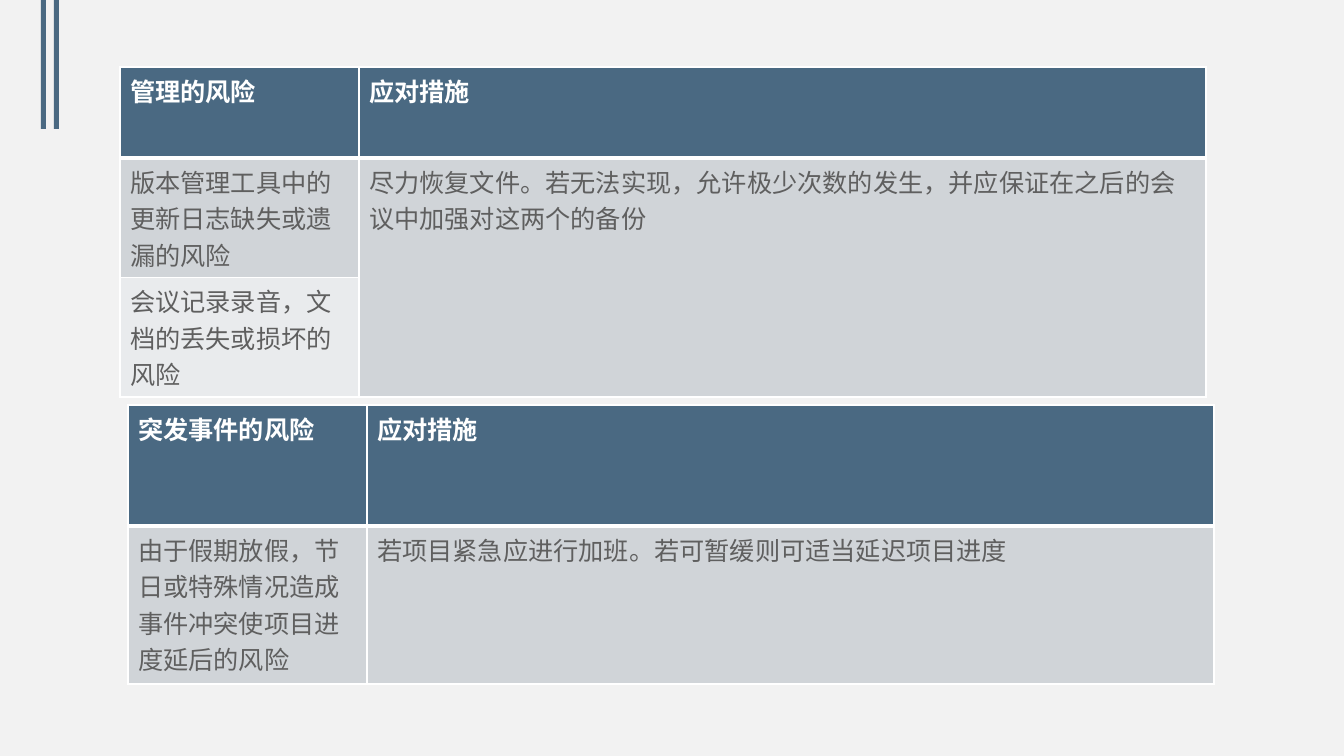
"""Build a slide with two tables of project risks and responses."""
from lxml import etree
from pptx import Presentation
from pptx import util as u
from pptx.dml.color import RGBColor
from pptx.enum import lang, shapes
from pptx.oxml.ns import qn

BLUE = RGBColor(0x4A, 0x69, 0x82)
WHITE = RGBColor(0xFF, 0xFF, 0xFF)
GREY = RGBColor(0x5F, 0x5F, 0x5F)
BACK = RGBColor(0xF2, 0xF2, 0xF2)
BANDS = [RGBColor(0xD0, 0xD4, 0xD8), RGBColor(0xE9, 0xEB, 0xED)]

BARS = [41, 54]
COLS = [239, 847]
TABLES = [
    {
        "at": (120, 67),
        "rows": [91, 92, 113],
        "cells": [
            ("管理的风险", "应对措施"),
            ("版本管理工具中的更新日志缺失或遗漏的风险",
             "尽力恢复文件。若无法实现，允许极少次数的发生，并应保证在之后的会议中加强对这两个的备份"),
            ("会议记录录音，文档的丢失或损坏的风险", ""),
        ],
        "merge": ((1, 1), (2, 1)),
    },
    {
        "at": (128, 405),
        "rows": [121, 158],
        "cells": [
            ("突发事件的风险", "应对措施"),
            ("由于假期放假，节日或特殊情况造成事件冲突使项目进度延后的风险",
             "若项目紧急应进行加班。若可暂缓则可适当延迟项目进度"),
        ],
        "merge": None,
    },
]


def px(n):
    return round(n * 914400 / 100.8)


def edge(cell, head):
    props = cell._tc.get_or_add_tcPr()
    for side in "LRTB":
        wide = 3 if head and side == "B" else 1
        line = etree.SubElement(props, qn(f"a:ln{side}"), w=str(u.Pt(wide)))
        fill = etree.SubElement(line, qn("a:solidFill"))
        etree.SubElement(fill, qn("a:srgbClr"), val=str(WHITE))


def style(cell, row, words):
    head = row == 0
    edge(cell, head)
    cell.fill.solid()
    cell.fill.fore_color.rgb = BLUE if head else BANDS[(row - 1) % 2]
    cell.text_frame.text = words
    for run in cell.text_frame.paragraphs[0].runs:
        font = run.font
        font.name, font.size, font.bold = "Arial", u.Pt(18), head
        font.color.rgb = WHITE if head else GREY
        font.language_id = lang.MSO_LANGUAGE_ID.SIMPLIFIED_CHINESE


def add_risks(slide, data):
    left, top = data["at"]
    rows = data["rows"]
    frame = slide.shapes.add_table(len(rows), len(COLS), px(left), px(top),
                                   px(sum(COLS)), px(sum(rows)))
    table = frame.table
    for col, wide in zip(table.columns, COLS):
        col.width = px(wide)
    for r, tall in enumerate(rows):
        table.rows[r].height = px(tall)
        for c, words in enumerate(data["cells"][r]):
            style(table.cell(r, c), r, words)
    if data["merge"]:
        start, end = data["merge"]
        table.cell(*start).merge(table.cell(*end))


def main():
    deck = Presentation()
    deck.slide_width, deck.slide_height = px(1344), px(756)
    slide = deck.slides.add_slide(deck.slide_layouts[6])
    slide.background.fill.solid()
    slide.background.fill.fore_color.rgb = BACK
    for left in BARS:
        bar = slide.shapes.add_shape(shapes.MSO_SHAPE.RECTANGLE,
                                     px(left), 0, px(5), px(129))
        bar.shadow.inherit = False
        bar.fill.solid()
        bar.fill.fore_color.rgb = BLUE
        bar.line.fill.background()
    for data in TABLES:
        add_risks(slide, data)
    deck.save("out.pptx")


if __name__ == "__main__":
    main()
